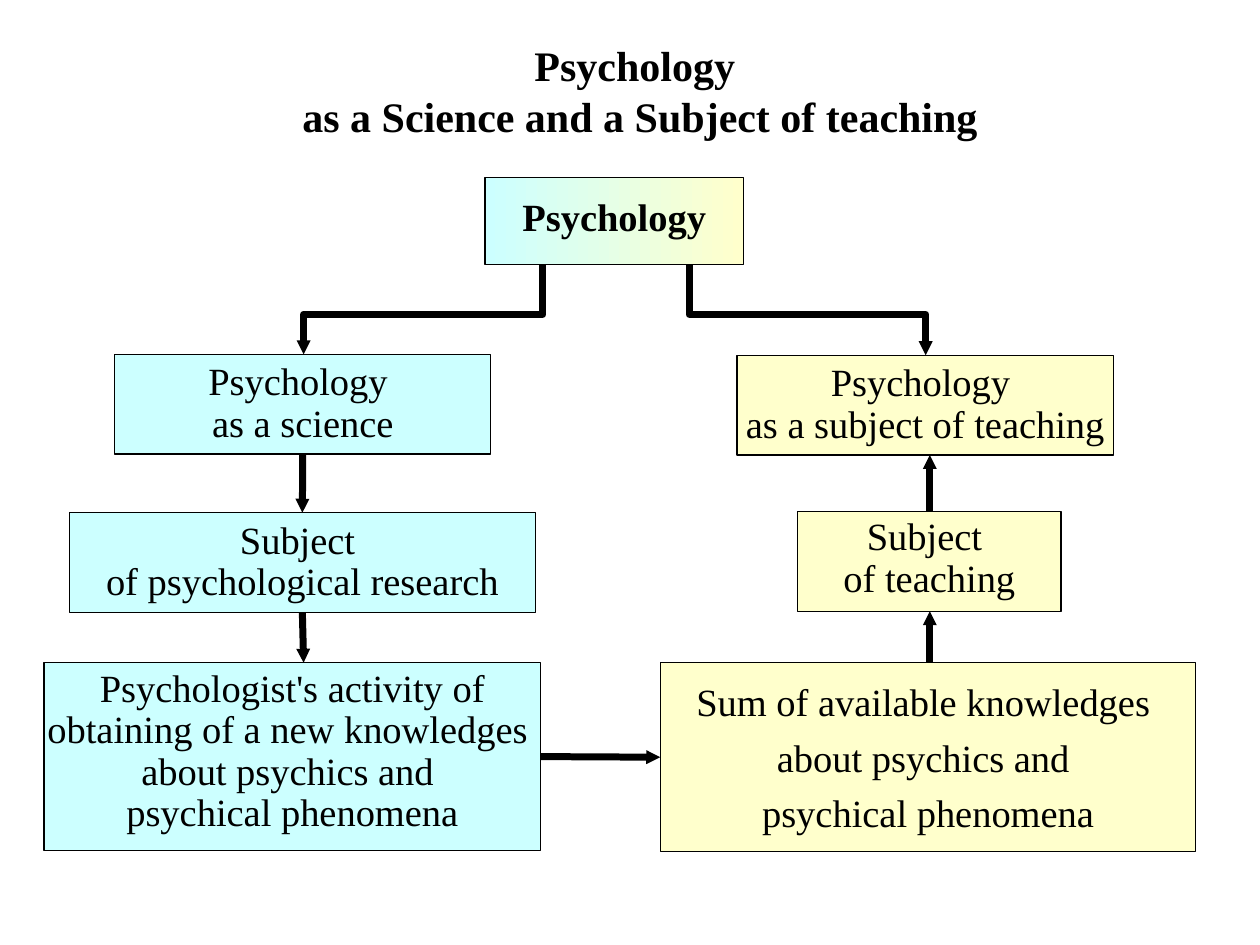
"""Build a slide that shows psychology as a science and as a subject of teaching."""
from lxml import etree
from pptx import Presentation
from pptx import util as u
from pptx.dml import color
from pptx.enum import shapes, text
from pptx.oxml import ns

FONT, BLACK, BLUE, YELLOW = "Times New Roman", "000000", "CCFFFF", "FFFFCC"
TOP, MIDDLE = text.MSO_ANCHOR.TOP, text.MSO_ANCHOR.MIDDLE


def rgb(code):
    return color.RGBColor.from_string(code)


def style_arrow(arrow):
    arrow.line.color.rgb = rgb(BLACK)
    arrow.line.width = u.Pt(4)
    outline = arrow.line._get_or_add_ln()
    etree.SubElement(outline, ns.qn("a:round"))
    etree.SubElement(outline, ns.qn("a:tailEnd"), type="triangle", w="sm", len="sm")
    properties = arrow._element.spPr
    if properties.find(ns.qn("a:effectLst")) is None:
        etree.SubElement(properties, ns.qn("a:effectLst"))


deck = Presentation()
deck.slide_width, deck.slide_height = u.Pt(720), u.Pt(540)
page = deck.slides.add_slide(deck.slide_layouts[5])

title = page.shapes.title
title.left, title.top, title.width, title.height = u.Pt(139), u.Pt(20), u.Pt(453.5), u.Pt(63)
title.text_frame.text = "Psychology \vas a Science and a Subject of teaching"
title.text_frame.vertical_anchor = MIDDLE
title.text_frame.word_wrap = True
for para in title.text_frame.paragraphs:
    para.alignment = text.PP_ALIGN.CENTER
    for span in para.runs:
        span.font.name, span.font.size, span.font.bold = FONT, u.Pt(24), True
        span.font.color.rgb = rgb(BLACK)

box_specs = {
    "psychology": (277.2, 101.5, 147.6, 49.7, None, TOP, 1.2, "Psychology"),
    "science": (65.5, 202.5, 215, 57, BLUE, MIDDLE, 0.9, "Psychology \nas a science"),
    "teaching": (421.2, 203, 215, 57, YELLOW, MIDDLE, 0.9,
                 "Psychology \nas a subject of teaching"),
    "research": (39.6, 293, 266.4, 57, BLUE, MIDDLE, 0.9,
                 "Subject \nof psychological research"),
    "subject": (455.8, 292.3, 150.5, 57, YELLOW, TOP, 0.9, "Subject \nof teaching"),
    "activity": (25.2, 378.7, 283.7, 107.3, BLUE, TOP, 0.9,
                 "Psychologist's activity of\nobtaining of a new knowledges \n"
                 "about psychics and \npsychical phenomena"),
    "knowledge": (377.3, 378.7, 306, 108, YELLOW, TOP, 1.2,
                  "Sum of available knowledges \nabout psychics and \npsychical phenomena"),
}
boxes = {}
for name, (left, top, width, height, fill, anchor, spacing, words) in box_specs.items():
    box = page.shapes.add_shape(shapes.MSO_SHAPE.RECTANGLE,
                                u.Pt(left), u.Pt(top), u.Pt(width), u.Pt(height))
    box.shadow.inherit = False
    box.line.color.rgb = rgb(BLACK)
    box.line.width = u.Pt(0.75)
    if fill:
        box.fill.solid()
        box.fill.fore_color.rgb = rgb(fill)
    else:
        box.fill.gradient()
        box.fill.gradient_angle = 0
        for stop, code in zip(box.fill.gradient_stops, (BLUE, YELLOW)):
            stop.color.rgb = rgb(code)
    frame = box.text_frame
    frame.text = words
    frame.word_wrap = True
    frame.vertical_anchor = anchor
    frame.margin_left = frame.margin_right = u.Pt(1.44)
    frame.margin_top = frame.margin_bottom = u.Pt(3.6)
    for para in frame.paragraphs:
        para.alignment = text.PP_ALIGN.CENTER
        para.line_spacing = spacing
        for span in para.runs:
            span.font.name, span.font.size = FONT, u.Pt(22)
            span.font.bold = name == "psychology"
            span.font.color.rgb = rgb(BLACK)
    boxes[name] = box

for start, end, bottom in ((310.3, 173.5, 202.5), (393.8, 529, 203)):
    builder = page.shapes.build_freeform(u.Pt(start), u.Pt(151.2))
    corners = ((start, 179.6), (end, 179.6), (end, bottom))
    builder.add_line_segments([(u.Pt(x), u.Pt(y)) for x, y in corners], close=False)
    elbow = builder.convert_to_shape()
    elbow.fill.background()
    elbow.shadow.inherit = False
    style_arrow(elbow)

arrow_specs = [
    ((173, 259.5), (173, 293), ("science", 2), ("research", 0)),
    ((173.5, 350), (173.5, 378.7), ("research", 2), None),
    ((308.9, 432.5), (377.3, 432.5), ("activity", 3), ("knowledge", 1)),
    ((531.3, 378.7), (531.3, 349.3), None, ("subject", 2)),
    ((531.3, 292.3), (531.3, 260), ("subject", 0), None),
]
for (x1, y1), (x2, y2), source, target in arrow_specs:
    arrow = page.shapes.add_connector(shapes.MSO_CONNECTOR.STRAIGHT,
                                      u.Pt(x1), u.Pt(y1), u.Pt(x2), u.Pt(y2))
    if source and source[0] != "subject":
        arrow.begin_connect(boxes[source[0]], source[1])
    if target and target[0] != "subject":
        arrow.end_connect(boxes[target[0]], target[1])
    style_arrow(arrow)

deck.save("out.pptx")
